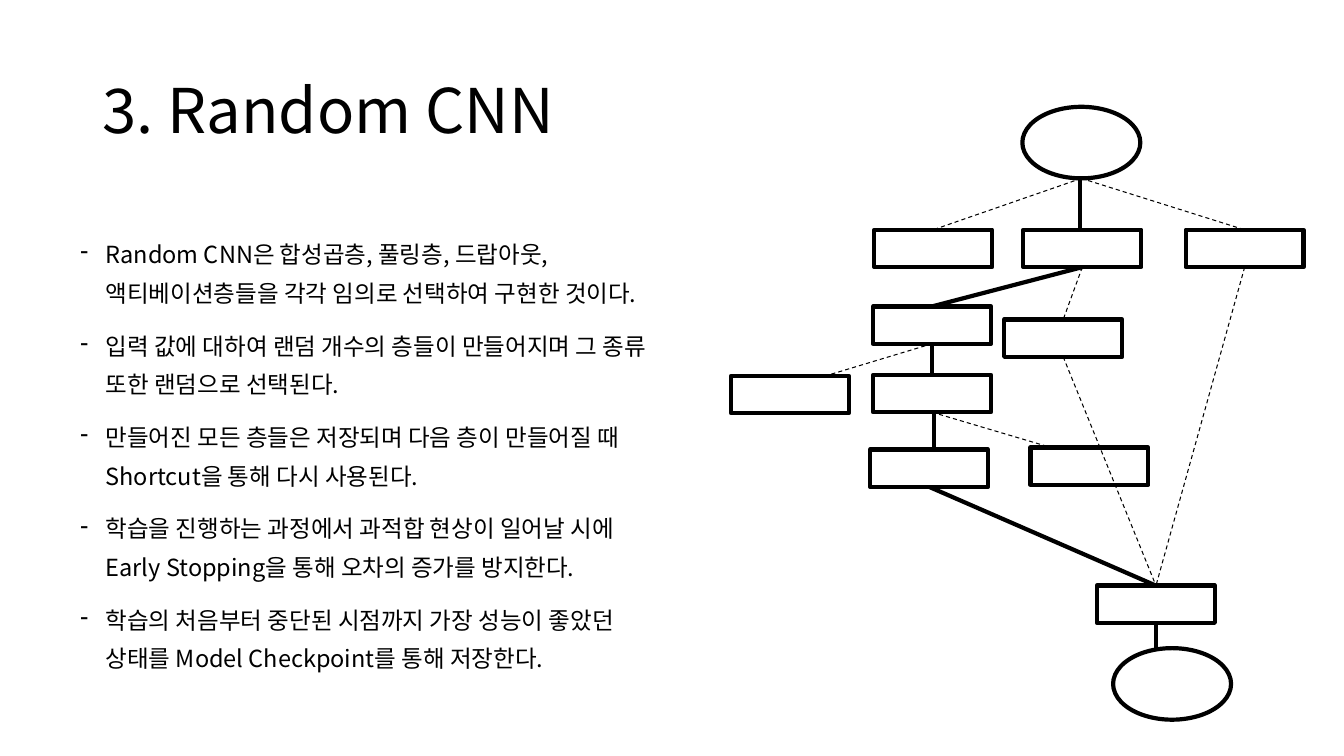
"""Builds the Random CNN slide: five explanatory points beside a layer graph."""
from lxml import etree
from pptx import Presentation
from pptx.dml.color import RGBColor
from pptx.enum.dml import MSO_LINE_DASH_STYLE as DASH
from pptx.enum.shapes import MSO_CONNECTOR, MSO_SHAPE
from pptx.enum.text import MSO_ANCHOR, PP_ALIGN
from pptx.oxml.ns import qn
from pptx.util import Inches, Pt

THEME = {
    "font": "Noto Sans CJK KR",
    "ink": RGBColor(0, 0, 0),
    "paper": RGBColor(255, 255, 255),
    "title": 44,
    "body": 16.8,
    "bold_line": 3,
    "thin_line": 0.75,
}

TITLE = "3. Random CNN"
POINTS = [
    "Random CNN은 합성곱층, 풀링층, 드랍아웃, 액티베이션층들을 각각 임의로 선택하여 구현한 것이다.",
    "입력 값에 대하여 랜덤 개수의 층들이 만들어지며 그 종류 또한 랜덤으로 선택된다.",
    "만들어진 모든 층들은 저장되며 다음 층이 만들어질 때 Shortcut을 통해 다시 사용된다.",
    "학습을 진행하는 과정에서 과적합 현상이 일어날 시에 Early Stopping을 통해 오차의 증가를 방지한다.",
    "학습의 처음부터 중단된 시점까지 가장 성능이 좋았던 상태를 Model Checkpoint를 통해 저장한다.",
]

NODE_W, LAYER_H, END_H = 1.17, 0.37, 0.71
ENDS = {"input": (10.14, 1.06), "output": (11.04, 6.43)}
LAYERS = {
    "first_left": (8.67, 2.28),
    "first": (10.15, 2.28),
    "first_right": (11.76, 2.28),
    "second": (8.66, 3.04),
    "second_right": (9.96, 3.17),
    "third_left": (7.25, 3.73),
    "third": (8.66, 3.72),
    "fourth": (8.63, 4.46),
    "fourth_right": (10.22, 4.44),
    "last": (10.88, 5.81),
}
FILLED = {"first_right", "second_right", "third_left", "fourth", "last"}
CHOSEN = [
    ("input", "first", -0.01, -0.02),
    ("first", "second", 0, 0),
    ("second", "third", 0, 0),
    ("third", "fourth", 0.02, 0.05),
    ("fourth", "last", 0, 0),
    ("last", "output", 0, -0.16),
]
SHORTCUTS = [
    ("input", "first_left", 0, 0),
    ("input", "first_right", 0, 0),
    ("first", "second_right", 0, 0),
    ("second", "third_left", 0, 0.35),
    ("third", "fourth_right", 0, -0.38),
    ("first_right", "last", 0, 0),
    ("second_right", "last", 0, 0),
]


def add_text(s, paragraphs, box, size, anchor=MSO_ANCHOR.TOP, spacing=1.0, before=0, bullet=None):
    """Adds a wrapped text box with one format for all its paragraphs."""
    tf = s.shapes.add_textbox(*map(Inches, box)).text_frame
    tf.word_wrap = True
    tf.vertical_anchor = anchor
    for i, text in enumerate(paragraphs):
        p = tf.add_paragraph() if i else tf.paragraphs[0]
        p.alignment = PP_ALIGN.LEFT
        p.line_spacing = spacing
        p.space_before = Pt(before)
        if bullet:
            pPr = p._p.get_or_add_pPr()
            pPr.set("marL", str(Inches(0.25)))
            pPr.set("indent", str(-Inches(0.25)))
            etree.SubElement(pPr, qn("a:buChar")).set("char", bullet)
        r = p.add_run()
        r.text = text
        r.font.size = Pt(size)
        r.font.name = THEME["font"]
        r.font.color.rgb = THEME["ink"]
        etree.SubElement(r._r.get_or_add_rPr(), qn("a:ea")).set("typeface", THEME["font"])


def add_node(graph, kind, left, top, height, filled=False):
    """Adds one outlined node of the graph."""
    sp = graph.shapes.add_shape(kind, *map(Inches, (left, top, NODE_W, height)))
    sp.shadow.inherit = False
    if filled:
        sp.fill.solid()
        sp.fill.fore_color.rgb = THEME["paper"]
    else:
        sp.fill.background()
    sp.line.color.rgb = THEME["ink"]
    sp.line.width = Pt(THEME["bold_line"])


def add_edge(graph, start, end, start_shift, end_shift, width, dash=None):
    """Joins the bottom centre of one node to the top of another."""
    nodes = ENDS | LAYERS
    (x1, y1), (x2, y2) = nodes[start], nodes[end]
    y1 += END_H if start in ENDS else LAYER_H
    half = NODE_W / 2
    points = (x1 + half + start_shift, y1, x2 + half + end_shift, y2)
    line = graph.shapes.add_connector(MSO_CONNECTOR.STRAIGHT, *map(Inches, points))
    line.line.color.rgb = THEME["ink"]
    line.line.width = Pt(width)
    if dash:
        line.line.dash_style = dash
    etree.SubElement(line._element.spPr, qn("a:effectLst"))


prs = Presentation()
prs.slide_width, prs.slide_height = Inches(13.33), Inches(7.5)
s = prs.slides.add_slide(prs.slide_layouts[6])

add_text(s, [TITLE], (0.92, 0.4, 11.5, 1.45), THEME["title"], anchor=MSO_ANCHOR.MIDDLE, spacing=0.9)
add_text(s, POINTS, (0.7, 2.23, 5.97, 4.76), THEME["body"], spacing=1.37, before=10, bullet="-")

graph = s.shapes.add_group_shape()
for edge in SHORTCUTS:
    add_edge(graph, *edge, THEME["thin_line"], DASH.DASH)
for edge in CHOSEN:
    add_edge(graph, *edge, THEME["bold_line"])
for name, (left, top) in LAYERS.items():
    add_node(graph, MSO_SHAPE.RECTANGLE, left, top, LAYER_H, name in FILLED)
for left, top in ENDS.values():
    add_node(graph, MSO_SHAPE.OVAL, left, top, END_H)

prs.save("out.pptx")
